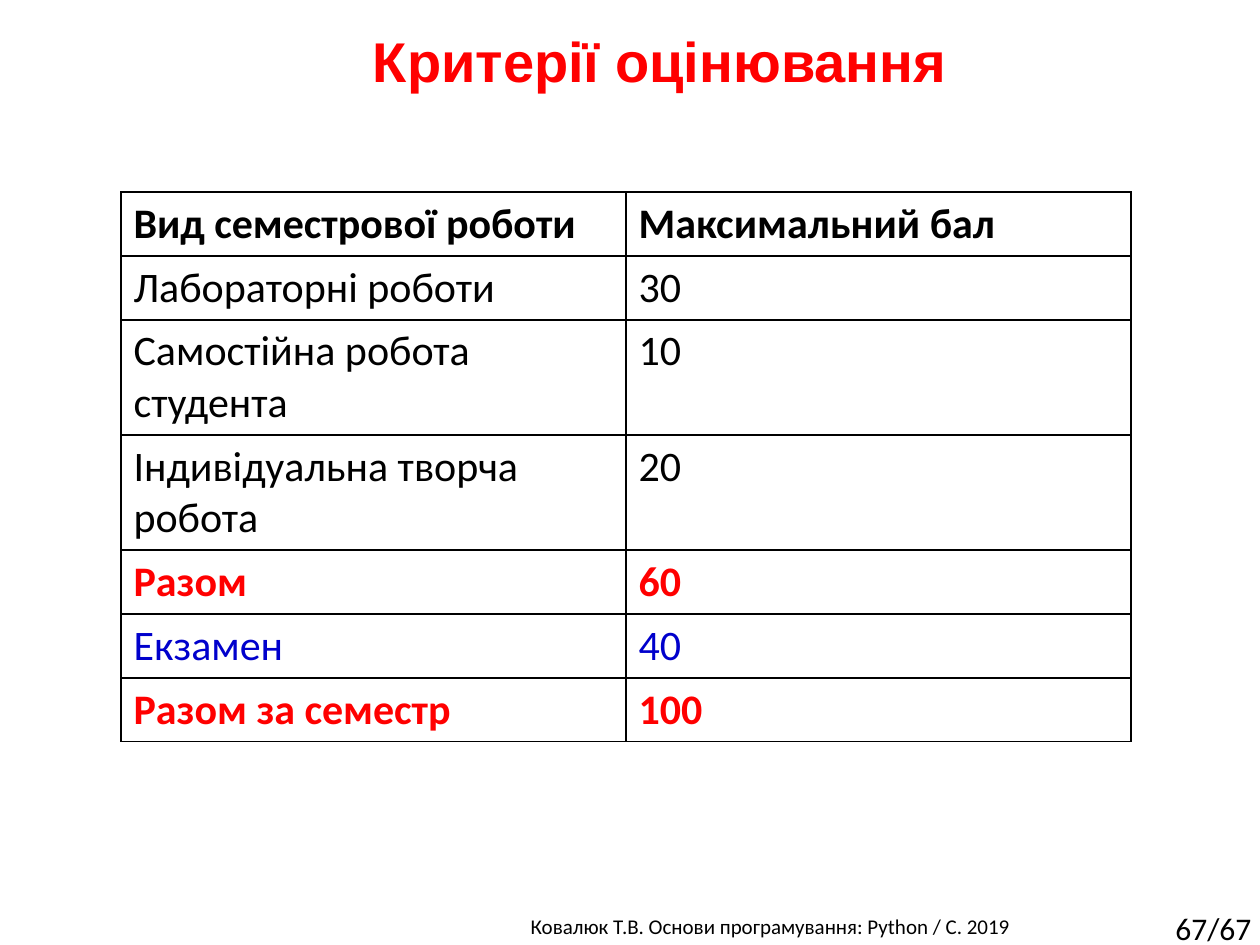
from lxml import etree
from pptx import Presentation
from pptx import util as u
from pptx.dml.color import RGBColor
from pptx.enum import text
from pptx.oxml import parse_xml
from pptx.oxml.ns import nsdecls, qn

BLACK = RGBColor(0, 0, 0)
RED = RGBColor(0xFF, 0, 0)
BLUE = RGBColor(0, 0, 0xCC)

TITLE = "Критерії оцінювання"
FOOTER = "Ковалюк Т.В. Основи програмування: Python / C. 2019"
PAGE = "67/67"
# work, points, colour, bold, lines
ROWS = [
    ("Вид семестрової роботи", "Максимальний бал", BLACK, True, 1),
    ("Лабораторні роботи", "30", BLACK, False, 1),
    ("Самостійна робота студента", "10", BLACK, False, 2),
    ("Індивідуальна творча робота", "20", BLACK, False, 2),
    ("Разом", "60", RED, True, 1),
    ("Екзамен", "40", BLUE, False, 1),
    ("Разом за семестр", "100", RED, True, 1),
]
WIDE = 505
HIGH = {1: 63, 2: 113}


def px(n):
    return u.Emu(round(n * 914400 / 126))


def write(frame, words, size=24, color=BLACK, bold=False, font="Calibri",
          align=text.PP_ALIGN.LEFT):
    para = frame.paragraphs[0]
    para.alignment = align
    run = para.add_run()
    run.text = words
    face = run.font
    face.name, face.size, face.bold = font, u.Pt(size), bold
    face.color.rgb = color
    return run


def place(shape, left, top, width, height):
    shape.left, shape.top = px(left), px(top)
    shape.width, shape.height = px(width), px(height)


def shade(run):
    """Give the letters of a run a soft dark shadow."""
    fill = run.font._element.find(qn("a:solidFill"))
    fill.addnext(parse_xml(
        f'<a:effectLst {nsdecls("a")}>'
        '<a:outerShdw blurRad="38100" dist="38100" dir="2700000" algn="tl">'
        '<a:srgbClr val="000000"/></a:outerShdw></a:effectLst>'))


def frame_cell(cell):
    """Draw a thin black line on each side of a cell."""
    props = cell._tc.get_or_add_tcPr()
    for side in ("lnL", "lnR", "lnT", "lnB"):
        line = etree.SubElement(props, qn(f"a:{side}"), w=str(u.Pt(1)))
        fill = etree.SubElement(line, qn("a:solidFill"))
        etree.SubElement(fill, qn("a:srgbClr"), val=str(BLACK))
    cell.fill.background()


def add_text(slide, words, spot, wrap=True, **style):
    box = slide.shapes.add_textbox(0, 0, 0, 0)
    place(box, *spot)
    box.text_frame.word_wrap = wrap
    write(box.text_frame, words, **style)


def add_grid(slide):
    high = [HIGH[row[4]] for row in ROWS]
    grid = slide.shapes.add_table(
        len(ROWS), 2, px(121), px(192), px(2 * WIDE), px(sum(high))).table
    grid.first_row = grid.horz_banding = False
    for col in grid.columns:
        col.width = px(WIDE)
    for r, (work, points, color, bold, _) in enumerate(ROWS):
        grid.rows[r].height = px(high[r])
        for c, words in enumerate((work, points)):
            cell = grid.cell(r, c)
            write(cell.text_frame, words, color=color, bold=bold)
            frame_cell(cell)


def main():
    deck = Presentation()
    deck.slide_width, deck.slide_height = px(1260), px(945)
    slide = deck.slides.add_slide(deck.slide_layouts[5])

    title = slide.shapes.title
    place(title, 164, 20, 992, 81)
    title.text_frame.vertical_anchor = text.MSO_ANCHOR.TOP
    title.text_frame.auto_size = text.MSO_AUTO_SIZE.NONE
    shade(write(title.text_frame, TITLE, size=32, color=RED, bold=True,
                font="Arial", align=text.PP_ALIGN.CENTER))

    add_grid(slide)
    add_text(slide, FOOTER, (412, 907, 717, 38), size=12,
             align=text.PP_ALIGN.CENTER)
    add_text(slide, PAGE, (1163, 903, 107, 50), wrap=False, size=18)
    deck.save("out.pptx")


if __name__ == "__main__":
    main()
